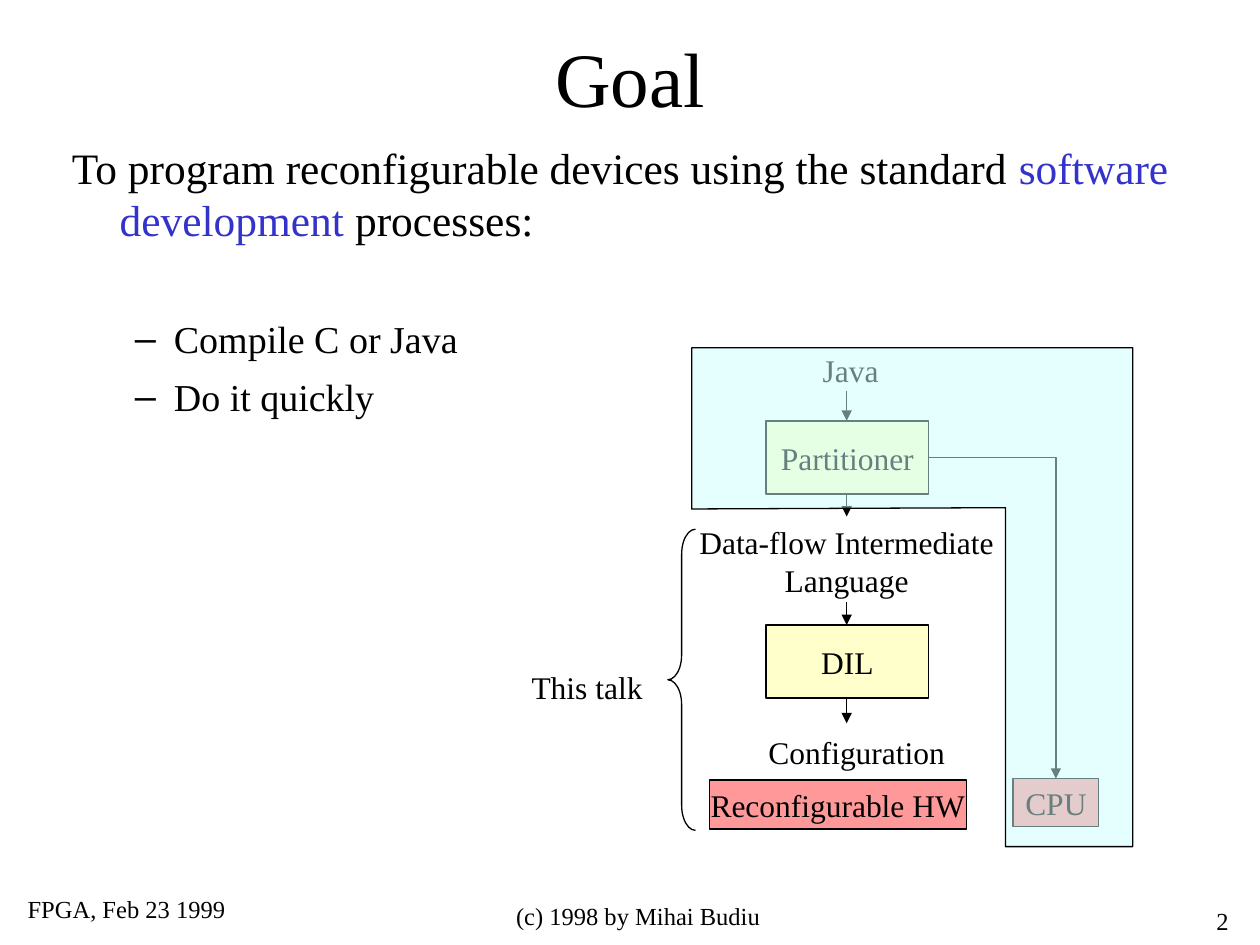
from dataclasses import dataclass

from lxml.etree import SubElement
from pptx import Presentation
from pptx.dml.color import RGBColor
from pptx.enum.shapes import MSO_CONNECTOR, MSO_SHAPE
from pptx.enum.text import MSO_ANCHOR, MSO_AUTO_SIZE, PP_ALIGN
from pptx.oxml.ns import qn
from pptx.util import Inches, Pt


@dataclass(frozen=True)
class Theme:
    font: str = "Times New Roman"
    ink: RGBColor = RGBColor(0x00, 0x00, 0x00)
    accent: RGBColor = RGBColor(0x33, 0x33, 0xCC)
    tool: RGBColor = RGBColor(0xFF, 0xFF, 0xCC)
    hardware: RGBColor = RGBColor(0xFF, 0x99, 0x99)
    veil: RGBColor = RGBColor(0xCC, 0xFF, 0xFF)
    title: float = 44
    lead: float = 24.8
    item: float = 21.7
    label: float = 18
    footer: float = 14
    line: float = 0.75


theme = Theme()


def add_span(para, text, size, color=theme.ink):
    span = para.add_run()
    span.text = text
    span.font.name = theme.font
    span.font.size = Pt(size)
    span.font.color.rgb = color


def style_outline(shape):
    shape.line.color.rgb = theme.ink
    shape.line.width = Pt(theme.line)


deck = Presentation()
deck.slide_width, deck.slide_height = Inches(10), Inches(7.5)
page = deck.slides.add_slide(deck.slide_layouts[1])
shapes = page.shapes

# Title
title = shapes.title
title.left, title.top = Inches(0.75), Inches(0.36)
title.width, title.height = Inches(8.5), Inches(0.5)
title.text_frame.auto_size = MSO_AUTO_SIZE.NONE
title.text_frame.vertical_anchor = MSO_ANCHOR.MIDDLE
para = title.text_frame.paragraphs[0]
para.alignment = PP_ALIGN.CENTER
add_span(para, "Goal", theme.title)

# Body: lead sentence with a hanging indent, then dashed items
body = page.placeholders[1]
body.left, body.top = Inches(0.47), Inches(1.07)
body.width, body.height = Inches(9.21), Inches(2.4)
body.text_frame.auto_size = MSO_AUTO_SIZE.NONE
para = body.text_frame.paragraphs[0]
para.space_before = Pt(8)
properties = para._p.get_or_add_pPr()
properties.set("marL", str(Inches(0.38)))
properties.set("indent", str(Inches(-0.38)))
SubElement(properties, qn("a:buNone"))
add_span(para, "To program reconfigurable devices using the standard ", theme.lead)
add_span(para, "software development", theme.lead, theme.accent)
add_span(para, " processes:", theme.lead)

for text, gap in (("Compile C or Java", 40), ("Do it quickly", 7)):
    para = body.text_frame.add_paragraph()
    para.level = 1
    para.space_before = Pt(gap)
    properties = para._p.get_or_add_pPr()
    properties.set("marL", str(Inches(0.81)))
    properties.set("indent", str(Inches(-0.31)))
    SubElement(properties, qn("a:buChar")).set("char", "–")
    add_span(para, text, theme.item)

# Tool and hardware boxes
for text, left, top, width, height, color in (
    ("Partitioner", 6.08, 3.34, 1.29, 0.58, theme.tool),
    ("DIL", 6.08, 4.96, 1.29, 0.58, theme.tool),
    ("Reconfigurable HW", 5.63, 6.19, 2.04, 0.39, theme.hardware),
    ("CPU", 8.04, 6.18, 0.68, 0.38, theme.hardware),
):
    box = shapes.add_shape(
        MSO_SHAPE.RECTANGLE, Inches(left), Inches(top), Inches(width), Inches(height)
    )
    box.shadow.inherit = False
    box.fill.solid()
    box.fill.fore_color.rgb = color
    style_outline(box)
    box.text_frame.word_wrap = False
    box.text_frame.vertical_anchor = MSO_ANCHOR.MIDDLE
    para = box.text_frame.paragraphs[0]
    para.alignment = PP_ALIGN.CENTER
    add_span(para, text, theme.label)

# Diagram labels and footer texts; unwrapped labels grow with their text
for text, left, top, width, height, size, align, wrap in (
    ("Java", 6.43, 2.74, 0.68, 0.4, theme.label, PP_ALIGN.LEFT, False),
    ("Data-flow Intermediate Language", 5.32, 4.1, 2.8, 0.7, theme.label, PP_ALIGN.CENTER, True),
    ("Configuration", 6, 5.77, 1.6, 0.4, theme.label, PP_ALIGN.LEFT, False),
    ("This talk", 4.12, 5.25, 1.15, 0.4, theme.label, PP_ALIGN.LEFT, True),
    ("FPGA, Feb 23 1999", 0.12, 7.05, 2.08, 0.3, theme.footer, PP_ALIGN.LEFT, True),
    ("(c) 1998 by Mihai Budiu", 3.48, 7.1, 3.17, 0.25, theme.footer, PP_ALIGN.CENTER, True),
    ("2", 8.99, 7.14, 0.86, 0.24, theme.footer, PP_ALIGN.RIGHT, True),
):
    label = shapes.add_textbox(Inches(left), Inches(top), Inches(width), Inches(height))
    label.text_frame.word_wrap = wrap
    if not wrap:
        label.text_frame.auto_size = MSO_AUTO_SIZE.SHAPE_TO_FIT_TEXT
    para = label.text_frame.paragraphs[0]
    para.alignment = align
    add_span(para, text, size)

# Arrows down the flow, and the bent one from the partitioner to the CPU
flow_x = 6.72
for start_x, start_y, end_x, end_y in (
    (flow_x, 3.1, flow_x, 3.34),
    (flow_x, 3.92, flow_x, 4.1),
    (flow_x, 4.78, flow_x, 4.96),
    (flow_x, 5.54, flow_x, 5.74),
    (7.37, 3.63, 8.38, 6.18),
):
    bent = start_x != end_x
    arrow = shapes.add_connector(
        MSO_CONNECTOR.ELBOW if bent else MSO_CONNECTOR.STRAIGHT,
        Inches(start_x), Inches(start_y), Inches(end_x), Inches(end_y),
    )
    properties = arrow._element.spPr
    if bent:
        properties.find(qn("a:prstGeom")).set("prst", "bentConnector2")
    style_outline(arrow)
    SubElement(arrow.line._get_or_add_ln(), qn("a:tailEnd")).set("type", "triangle")
    SubElement(properties, qn("a:effectLst"))

# Brace around the part this talk covers
brace = shapes.add_shape(
    MSO_SHAPE.LEFT_BRACE, Inches(5.3), Inches(4.2), Inches(0.22), Inches(2.39)
)
brace.adjustments[0] = 0.9
brace.shadow.inherit = False
brace.fill.background()
style_outline(brace)

# Half-transparent veil over the parts left out
outline = [(5.49, 4.04), (5.49, 2.76), (8.99, 2.76), (8.99, 6.72), (7.98, 6.72), (7.98, 4.03)]
points = [(Inches(x), Inches(y)) for x, y in outline]
builder = shapes.build_freeform(*points[0])
builder.add_line_segments(points[1:], close=True)
veil = builder.convert_to_shape()
veil.shadow.inherit = False
veil.fill.solid()
veil.fill.fore_color.rgb = theme.veil
color_node = veil._element.spPr.find(qn("a:solidFill")).find(qn("a:srgbClr"))
SubElement(color_node, qn("a:alpha")).set("val", "50000")
style_outline(veil)

deck.save("out.pptx")
